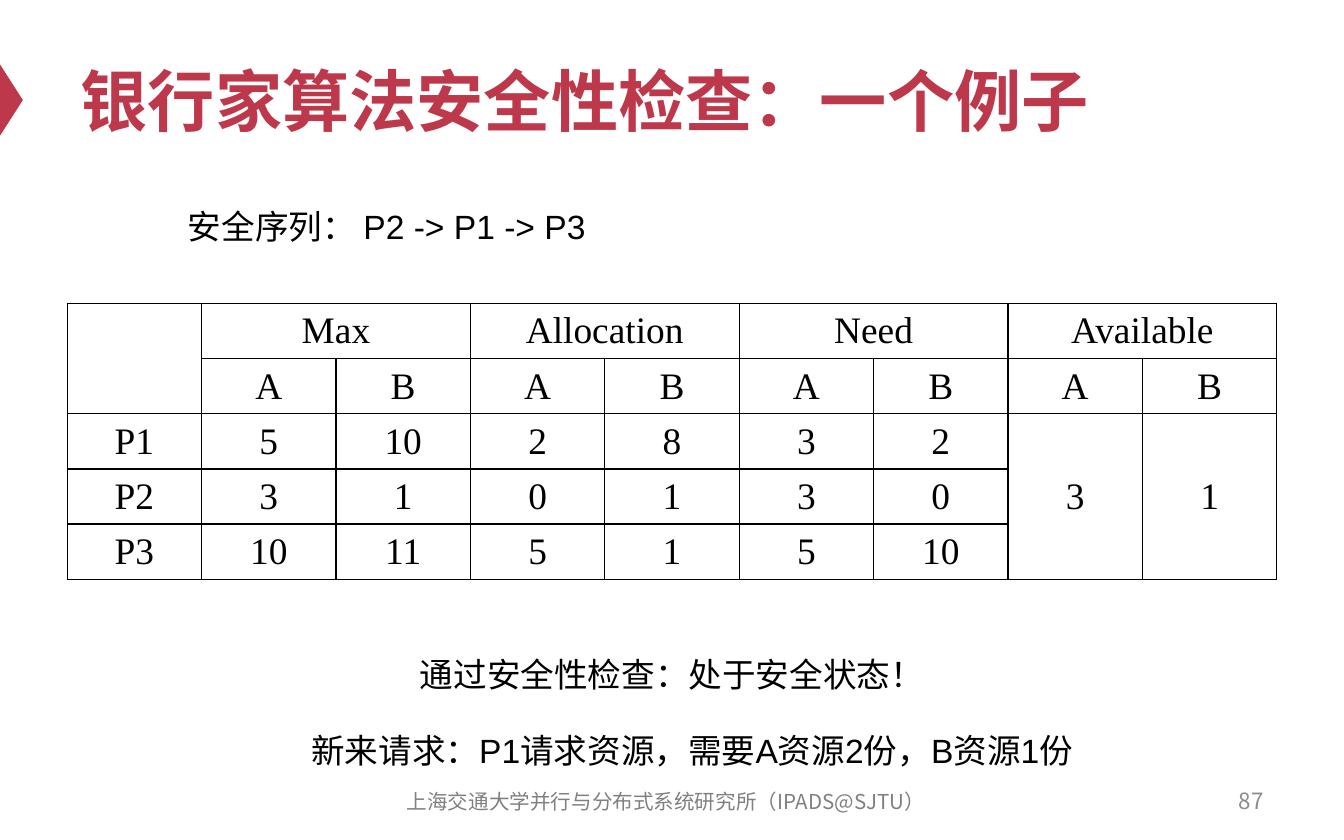
from lxml.etree import SubElement
from pptx import Presentation
from pptx.dml.color import RGBColor
from pptx.enum.shapes import MSO_SHAPE
from pptx.enum.text import MSO_ANCHOR, PP_ALIGN
from pptx.oxml import parse_xml
from pptx.oxml.ns import nsdecls, qn
from pptx.util import Inches, Pt

RED = RGBColor(0xBE, 0x38, 0x4B)
BLACK = RGBColor(0, 0, 0)
WHITE = RGBColor(0xFF, 0xFF, 0xFF)
FOOTER_GRAY = RGBColor(0x80, 0x80, 0x80)
NUMBER_GRAY = RGBColor(0x8C, 0x8C, 0x8C)

ROWS = [
    ["", "Max", "", "Allocation", "", "Need", "", "Available", ""],
    ["", "A", "B", "A", "B", "A", "B", "A", "B"],
    ["P1", "5", "10", "2", "8", "3", "2", "3", "1"],
    ["P2", "3", "1", "0", "1", "3", "0", "", ""],
    ["P3", "10", "11", "5", "1", "5", "10", "", ""],
]
MERGES = [((0, 0), (1, 0))]
MERGES += [((0, column), (0, column + 1)) for column in (1, 3, 5, 7)]
MERGES += [((2, column), (4, column)) for column in (7, 8)]


class SlideBuilder:
    body_font = "Arial"
    chinese_font = "Noto Sans CJK SC"
    table_font = "Times New Roman"

    def __init__(self, slide):
        self.slide = slide

    def style(self, frame, size, color, font, align=PP_ALIGN.LEFT, bold=False, spacing=None):
        for para in frame.paragraphs:
            para.alignment = align
            para.line_spacing = spacing
            for run in para.runs:
                run.font.size = Pt(size)
                run.font.name = font
                run.font.bold = bold
                run.font.color.rgb = color
                east_asian = SubElement(run.font._element, qn("a:ea"))
                east_asian.set("typeface", self.chinese_font)

    def title(self, text, left, top, width, height):
        box = self.slide.shapes.title
        box.left, box.top = Inches(left), Inches(top)
        box.width, box.height = Inches(width), Inches(height)
        box.text_frame.text = text
        box.text_frame.vertical_anchor = MSO_ANCHOR.MIDDLE
        self.style(box.text_frame, 36, RED, self.body_font, bold=True)

    def marker(self, left, top, width, height):
        shape = self.slide.shapes.add_shape(
            MSO_SHAPE.ISOSCELES_TRIANGLE,
            Inches(left), Inches(top), Inches(width), Inches(height))
        shape.rotation = 90
        shape.shadow.inherit = False
        shape.fill.solid()
        shape.fill.fore_color.rgb = RED
        shape.line.fill.background()

    def text(self, text, left, top, width, height, size=18, color=BLACK, font=body_font,
             align=PP_ALIGN.CENTER, anchor=MSO_ANCHOR.TOP, spacing=None):
        box = self.slide.shapes.add_textbox(
            Inches(left), Inches(top), Inches(width), Inches(height))
        frame = box.text_frame
        frame.word_wrap = True
        frame.vertical_anchor = anchor
        frame.text = text
        self.style(frame, size, color, font, align, spacing=spacing)

    def border(self, cell):
        properties = cell._tc.get_or_add_tcPr()
        for index, side in enumerate(("lnL", "lnR", "lnT", "lnB")):
            properties.insert(index, parse_xml(
                f'<a:{side} {nsdecls("a")} w="{Pt(0.75)}"><a:solidFill>'
                f'<a:srgbClr val="{BLACK}"/></a:solidFill></a:{side}>'))

    def table(self, rows, merges, left, top, width, row_height):
        frame = self.slide.shapes.add_table(
            len(rows), len(rows[0]), Inches(left), Inches(top),
            Inches(width), Inches(row_height * len(rows)))
        table = frame.table
        table.first_row = False
        table.horz_banding = False
        for row_index, row in enumerate(rows):
            for column_index, value in enumerate(row):
                cell = table.cell(row_index, column_index)
                cell.text_frame.text = value
                cell.vertical_anchor = MSO_ANCHOR.MIDDLE
                cell.margin_top = cell.margin_bottom = Inches(0.04)
                cell.fill.background()
                self.border(cell)
                self.style(cell.text_frame, 20, BLACK, self.table_font, PP_ALIGN.CENTER)
        for first, last in merges:
            table.cell(*first).merge(table.cell(*last))


def main():
    deck = Presentation()
    deck.slide_width, deck.slide_height = Inches(10), Inches(6.25)
    slide = deck.slides.add_slide(deck.slide_layouts[5])
    slide.background.fill.solid()
    slide.background.fill.fore_color.rgb = WHITE
    page = SlideBuilder(slide)

    page.marker(-0.18, 0.66, 0.53, 0.17)
    page.title("银行家算法安全性检查：一个例子", 0.5, 0.25, 9, 0.98)
    page.table(ROWS, MERGES, 0.5, 2.26, 9, 0.41)
    page.text("通过安全性检查：处于安全状态！", 1.18, 4.67, 7.64, 0.5, spacing=1.5)
    page.text("安全序列： P2 -> P1 -> P3", 1.3, 1.33, 7.64, 0.5,
              align=PP_ALIGN.LEFT, spacing=1.5)
    page.text("新来请求：P1请求资源，需要A资源2份，B资源1份", 1.33, 5.23, 7.64, 0.5, spacing=1.5)
    page.text("上海交通大学并行与分布式系统研究所（IPADS@SJTU）", 2.79, 5.8, 4.33, 0.33,
              11, FOOTER_GRAY, page.chinese_font, anchor=MSO_ANCHOR.MIDDLE)
    page.text("87", 7.17, 5.79, 2.33, 0.33, 12, NUMBER_GRAY, page.chinese_font,
              PP_ALIGN.RIGHT, MSO_ANCHOR.MIDDLE)
    deck.save("out.pptx")


if __name__ == "__main__":
    main()
